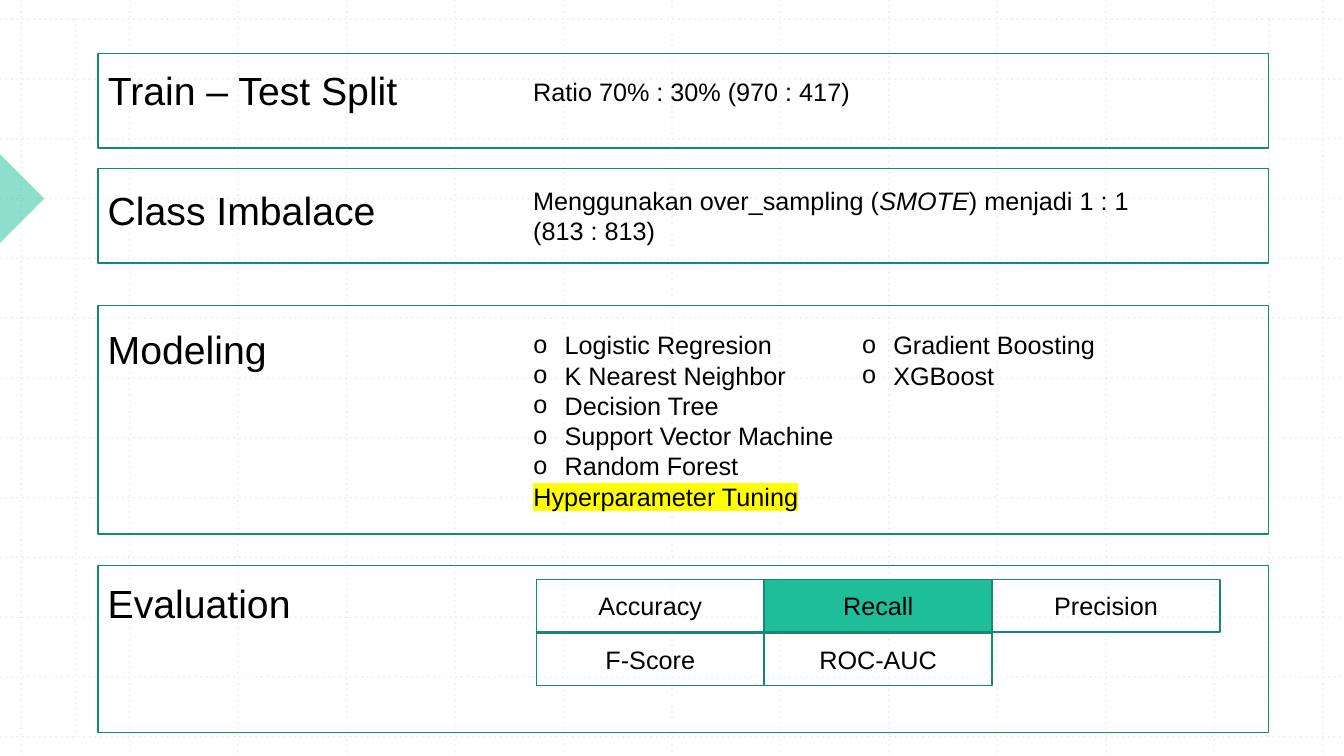
from lxml import etree
from pptx import Presentation
from pptx.dml.color import RGBColor
from pptx.enum.shapes import MSO_CONNECTOR, MSO_SHAPE
from pptx.enum.text import MSO_ANCHOR, MSO_AUTO_SIZE, PP_ALIGN
from pptx.oxml.ns import qn
from pptx.util import Inches, Pt

RECTANGLE = MSO_SHAPE.RECTANGLE
TRIANGLE = MSO_SHAPE.RIGHT_TRIANGLE
STRAIGHT = MSO_CONNECTOR.STRAIGHT
TOP, MIDDLE = MSO_ANCHOR.TOP, MSO_ANCHOR.MIDDLE
LEFT, CENTER = PP_ALIGN.LEFT, PP_ALIGN.CENTER
NO_AUTOFIT = MSO_AUTO_SIZE.NONE

COLORS = {"text": "000000", "grid": "BCBCBC", "border": "158A71",
          "accent": "1EBE9B", "highlight": "FFFF00"}
FONT = "Arial"
HEADING_SIZE, BODY_SIZE = 28, 18

SECTIONS = [
    {"heading": "Train – Test Split", "heading_top": 0.61, "top": 0.53, "height": 0.94},
    {"heading": "Class Imbalace", "heading_top": 1.8, "top": 1.67, "height": 0.94},
    {"heading": "Modeling", "heading_top": 3.18, "top": 3.03, "height": 2.27},
    {"heading": "Evaluation", "heading_top": 5.7, "top": 5.61, "height": 1.66},
]
NOTES = [
    ((5.19, 0.71, 5.91, 0.4), [[("Ratio 70% : 30% (970 : 417)", {})]]),
    ((5.19, 1.79, 7.12, 0.71), [
        [("Menggunakan over_sampling (", {}), ("SMOTE", {"italic": True}),
         (") menjadi 1 : 1", {})],
        [("(813 : 813)", {})],
    ]),
]
MODEL_LISTS = [
    ((5.19, 3.22, 3.26, 2.52),
     ["Logistic Regresion", "K Nearest Neighbor", "Decision Tree",
      "Support Vector Machine", "Random Forest"], "Hyperparameter Tuning"),
    ((8.45, 3.22, 3.26, 1.31), ["Gradient Boosting", "XGBoost"], None),
]
METRICS = [["Accuracy", "Recall", "Precision"], ["F-Score", "ROC-AUC"]]
CHOSEN_METRIC = "Recall"

SECTION_LEFT, SECTION_WIDTH = 0.97, 11.61
HEADING_WIDTH, HEADING_HEIGHT = 4.06, 0.57
METRIC_LEFT, METRIC_TOP = 5.32, 5.75
METRIC_WIDTH, METRIC_HEIGHT, METRIC_PITCH = 2.26, 0.52, 0.53
SLIDE_WIDTH, SLIDE_HEIGHT = 13.33, 7.5
GRID_LEFT, GRID_RIGHT, GRID_TOP, GRID_BOTTOM = 0.21, 13.12, 0.19, 7.31
GRID_STEPS = 12
MARGIN_LINES = (0.75, 12.59)
BULLET_INDENT = 0.31


def color(name):
    return RGBColor.from_string(COLORS[name])


def set_alpha(shape, percent):
    for tint in shape._element.spPr.iter(qn("a:srgbClr")):
        etree.SubElement(tint, qn("a:alpha"), val=str(percent * 1000))


def place(shape, box):
    for name, value in zip(("left", "top", "width", "height"), box):
        setattr(shape, name, Inches(value))


def add_grid_line(slide, x1, y1, x2, y2):
    line = slide.shapes.add_connector(STRAIGHT, *map(Inches, (x1, y1, x2, y2)))
    line.line.color.rgb = color("grid")
    line.line.width = Pt(1)
    properties = line._element.spPr
    etree.SubElement(properties.find(qn("a:ln")), qn("a:prstDash"), val="dot")
    etree.SubElement(properties, qn("a:effectLst"))
    set_alpha(line, 30)


def add_grid(slide):
    for step in range(GRID_STEPS + 1):
        x = GRID_LEFT + step * (GRID_RIGHT - GRID_LEFT) / GRID_STEPS
        y = GRID_TOP + step * (GRID_BOTTOM - GRID_TOP) / GRID_STEPS
        add_grid_line(slide, x, 0, x, SLIDE_HEIGHT)
        add_grid_line(slide, 0, y, SLIDE_WIDTH, y)
    for x in MARGIN_LINES:
        add_grid_line(slide, x, GRID_TOP, x, GRID_BOTTOM)


def add_shape(slide, kind, box, fill=None, border=None):
    shape = slide.shapes.add_shape(kind, *map(Inches, box))
    shape.shadow.inherit = False
    if fill:
        shape.fill.solid()
        shape.fill.fore_color.rgb = color(fill)
    else:
        shape.fill.background()
    if border:
        shape.line.color.rgb = color(border)
        shape.line.width = Pt(1)
    else:
        shape.line.fill.background()
    return shape


def write(shape, paragraphs, size, align=LEFT, anchor=TOP):
    frame = shape.text_frame
    settings = {"word_wrap": True, "auto_size": NO_AUTOFIT, "vertical_anchor": anchor,
                "margin_left": Inches(0.1), "margin_right": Inches(0.1),
                "margin_top": Inches(0.05), "margin_bottom": Inches(0.05)}
    for name, value in settings.items():
        setattr(frame, name, value)
    for index, runs in enumerate(paragraphs):
        paragraph = frame.add_paragraph() if index else frame.paragraphs[0]
        paragraph.alignment = align
        paragraph.space_before = Pt(0)
        for text, extra in runs:
            run = paragraph.add_run()
            run.text = text
            run.font.color.rgb = color("text")
            for name, value in {"name": FONT, "size": Pt(size), **extra}.items():
                setattr(run.font, name, value)
    return frame.paragraphs


def set_bullet(paragraph, bulleted):
    properties = paragraph._p.get_or_add_pPr()
    indent = Inches(BULLET_INDENT) if bulleted else 0
    properties.set("marL", str(indent))
    properties.set("indent", str(-indent))
    if bulleted:
        bullet_color = etree.SubElement(properties, qn("a:buClr"))
        etree.SubElement(bullet_color, qn("a:srgbClr"), val=COLORS["text"])
        etree.SubElement(properties, qn("a:buFont"), typeface=FONT)
        etree.SubElement(properties, qn("a:buChar"), char="o")
    else:
        etree.SubElement(properties, qn("a:buNone"))


def highlight(run):
    mark = etree.Element(qn("a:highlight"))
    etree.SubElement(mark, qn("a:srgbClr"), val=COLORS["highlight"])
    run._r.rPr.find(qn("a:solidFill")).addnext(mark)


def add_model_list(body, box, models, closing):
    place(body, box)
    lines = models + ([closing] if closing else [])
    for paragraph, text in zip(write(body, [[(line, {})] for line in lines], BODY_SIZE), lines):
        set_bullet(paragraph, text != closing)
        if text == closing:
            highlight(paragraph.runs[0])


def main():
    presentation = Presentation()
    presentation.slide_width = Inches(SLIDE_WIDTH)
    presentation.slide_height = Inches(SLIDE_HEIGHT)
    slide = presentation.slides.add_slide(presentation.slide_layouts[3])
    title, *bodies = list(slide.placeholders)

    add_grid(slide)
    arrow = add_shape(slide, TRIANGLE, (-0.31, 1.66, 0.62, 0.62), fill="accent")
    arrow.rotation = 225
    set_alpha(arrow, 50)
    for placeholder in (title, *bodies):
        slide.shapes._spTree.append(placeholder._element)

    for index, section in enumerate(SECTIONS):
        box = (SECTION_LEFT, section["heading_top"], HEADING_WIDTH, HEADING_HEIGHT)
        heading = slide.shapes.add_textbox(*map(Inches, box)) if index else title
        place(heading, box)
        write(heading, [[(section["heading"], {})]], HEADING_SIZE)
        add_shape(slide, RECTANGLE, (SECTION_LEFT, section["top"], SECTION_WIDTH,
                                     section["height"]), border="border")

    for box, paragraphs in NOTES:
        write(slide.shapes.add_textbox(*map(Inches, box)), paragraphs, BODY_SIZE)
    for body, model_list in zip(bodies, MODEL_LISTS):
        add_model_list(body, *model_list)

    for row, names in enumerate(METRICS):
        for column, name in enumerate(names):
            box = (METRIC_LEFT + column * METRIC_WIDTH, METRIC_TOP + row * METRIC_PITCH,
                   METRIC_WIDTH, METRIC_HEIGHT)
            fill = "accent" if name == CHOSEN_METRIC else None
            cell = add_shape(slide, RECTANGLE, box, fill, "border")
            write(cell, [[(name, {})]], BODY_SIZE, CENTER, MIDDLE)

    presentation.save("out.pptx")


if __name__ == "__main__":
    main()
